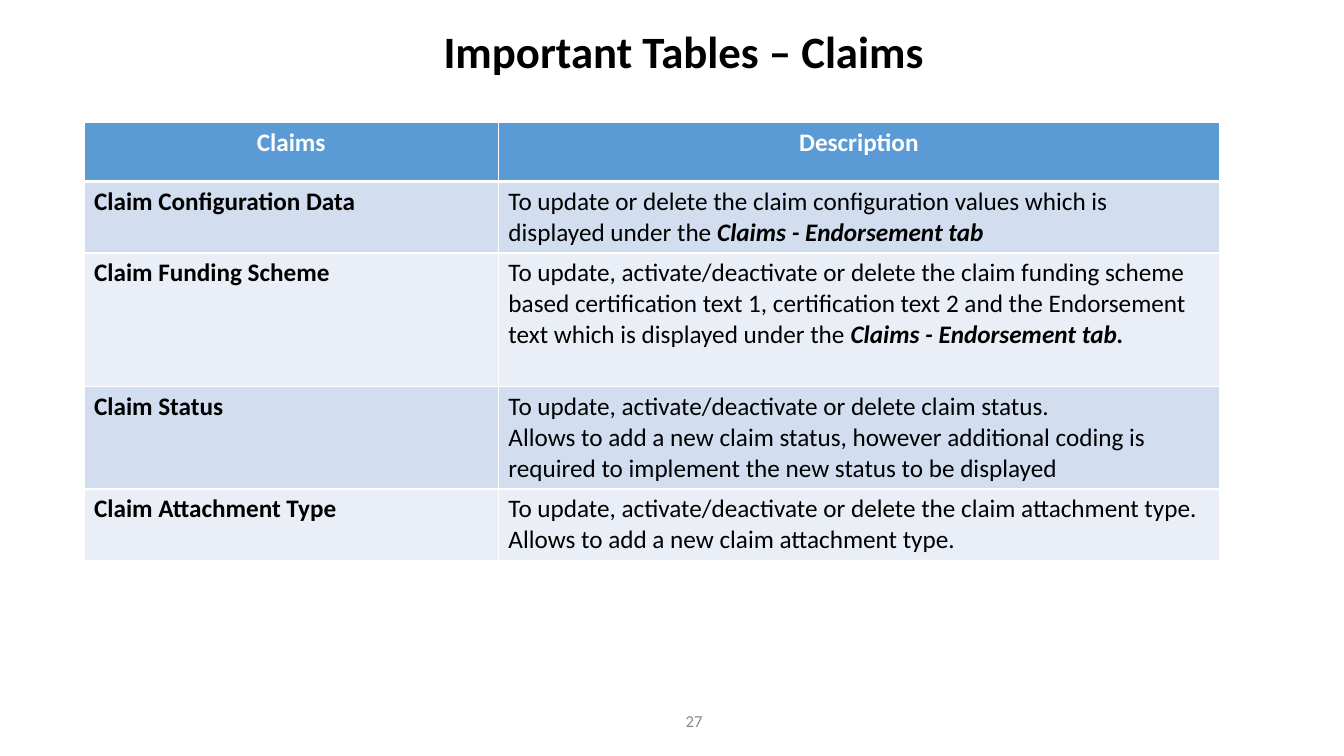
from lxml import etree
from pptx import Presentation
from pptx.dml.color import RGBColor
from pptx.enum.text import MSO_ANCHOR, PP_ALIGN
from pptx.oxml.ns import qn
from pptx.util import Pt

CENTER, LEFT, RIGHT = PP_ALIGN.CENTER, PP_ALIGN.LEFT, PP_ALIGN.RIGHT
MIDDLE = MSO_ANCHOR.MIDDLE

BLACK = RGBColor(0x00, 0x00, 0x00)
WHITE = RGBColor(0xFF, 0xFF, 0xFF)
GREY = RGBColor(0x8C, 0x8C, 0x8C)
HEADER_BLUE = RGBColor(0x5B, 0x9B, 0xD5)
BANDS = (RGBColor(0xD2, 0xDE, 0xEF), RGBColor(0xEA, 0xEF, 0xF7))

COLUMN_WIDTHS = (296, 515)
ROW_HEIGHTS = (41.8, 51.1, 95.4, 73.2, 51.1)
HEADINGS = ("Claims", "Description")

# Each description is a list of paragraphs; a paragraph is plain text plus an emphasised ending.
CLAIM_TABLES = (
    ("Claim Configuration Data",
     [("To update or delete the claim configuration values which is displayed under the ",
       "Claims - Endorsement tab")]),
    ("Claim Funding Scheme",
     [("To update, activate/deactivate or delete the claim funding scheme based certification "
       "text 1, certification text 2 and the Endorsement text which is displayed under the ",
       "Claims - Endorsement tab.")]),
    ("Claim Status",
     [("To update, activate/deactivate or delete claim status.", ""),
      ("Allows to add a new claim status, however additional coding is required to implement "
       "the new status to be displayed", "")]),
    ("Claim Attachment Type",
     [("To update, activate/deactivate or delete the claim attachment type.", ""),
      ("Allows to add a new claim attachment type.", "")]),
)


class SlideBuilder:
    font_name = "Calibri"
    table_size = 18

    def __init__(self, slide):
        self.slide = slide

    def style(self, font, size, color, bold=False, italic=False):
        font.name, font.size = self.font_name, Pt(size)
        font.bold, font.italic = bold, italic
        font.color.rgb = color

    def text(self, wording, left, top, width, height, size, color, align, bold=False, spacing=1.0):
        box = self.slide.shapes.add_textbox(Pt(left), Pt(top), Pt(width), Pt(height))
        frame = box.text_frame
        frame.word_wrap = True
        frame.vertical_anchor = MIDDLE
        frame.text = wording
        paragraph = frame.paragraphs[0]
        paragraph.alignment = align
        paragraph.line_spacing = spacing
        self.style(paragraph.runs[0].font, size, color, bold)

    def table(self, left, top, widths, heights):
        frame = self.slide.shapes.add_table(
            len(heights), len(widths), Pt(left), Pt(top), Pt(sum(widths)), Pt(sum(heights)))
        grid = frame.table
        for column, width in zip(grid.columns, widths):
            column.width = Pt(width)
        for row, height in zip(grid.rows, heights):
            row.height = Pt(height)
        return grid

    def cell(self, cell, paragraphs, fill, color=BLACK, align=LEFT, bold=False, top=1, bottom=1):
        cell.fill.solid()
        cell.fill.fore_color.rgb = fill
        self.borders(cell, top, bottom)
        frame = cell.text_frame
        frame.text = "\n".join(plain for plain, _ in paragraphs)
        for paragraph, (_, emphasis) in zip(frame.paragraphs, paragraphs):
            paragraph.alignment = align
            self.style(paragraph.runs[0].font, self.table_size, color, bold)
            if emphasis:
                ending = paragraph.add_run()
                ending.text = emphasis
                self.style(ending.font, self.table_size, color, bold=True, italic=True)

    def borders(self, cell, top, bottom):
        properties = cell._tc.get_or_add_tcPr()
        edges = (("a:lnL", 1), ("a:lnR", 1), ("a:lnT", top), ("a:lnB", bottom))
        for position, (tag, width) in enumerate(edges):
            line = etree.Element(qn(tag), w=str(Pt(width)))
            solid = etree.SubElement(line, qn("a:solidFill"))
            etree.SubElement(solid, qn("a:srgbClr"), val=str(WHITE))
            properties.insert(position, line)


def main():
    presentation = Presentation()
    presentation.slide_width, presentation.slide_height = Pt(960), Pt(540)
    builder = SlideBuilder(presentation.slides.add_slide(presentation.slide_layouts[6]))

    builder.text("Important Tables – Claims", 262.8, 12.2, 451.4, 53.3, 32, BLACK, CENTER,
                 bold=True, spacing=0.9)
    builder.text("27", 293, 500.4, 216, 28.8, 12, GREY, RIGHT)

    claims = builder.table(60, 87.8, COLUMN_WIDTHS, ROW_HEIGHTS)
    for column, heading in enumerate(HEADINGS):
        builder.cell(claims.cell(0, column), [(heading, "")], HEADER_BLUE, WHITE, CENTER,
                     bold=True, bottom=3)
    for row, (name, description) in enumerate(CLAIM_TABLES, start=1):
        band = BANDS[(row - 1) % 2]
        top = 3 if row == 1 else 1
        builder.cell(claims.cell(row, 0), [(name, "")], band, bold=True, top=top)
        builder.cell(claims.cell(row, 1), description, band, top=top)

    presentation.save("out.pptx")


if __name__ == "__main__":
    main()
